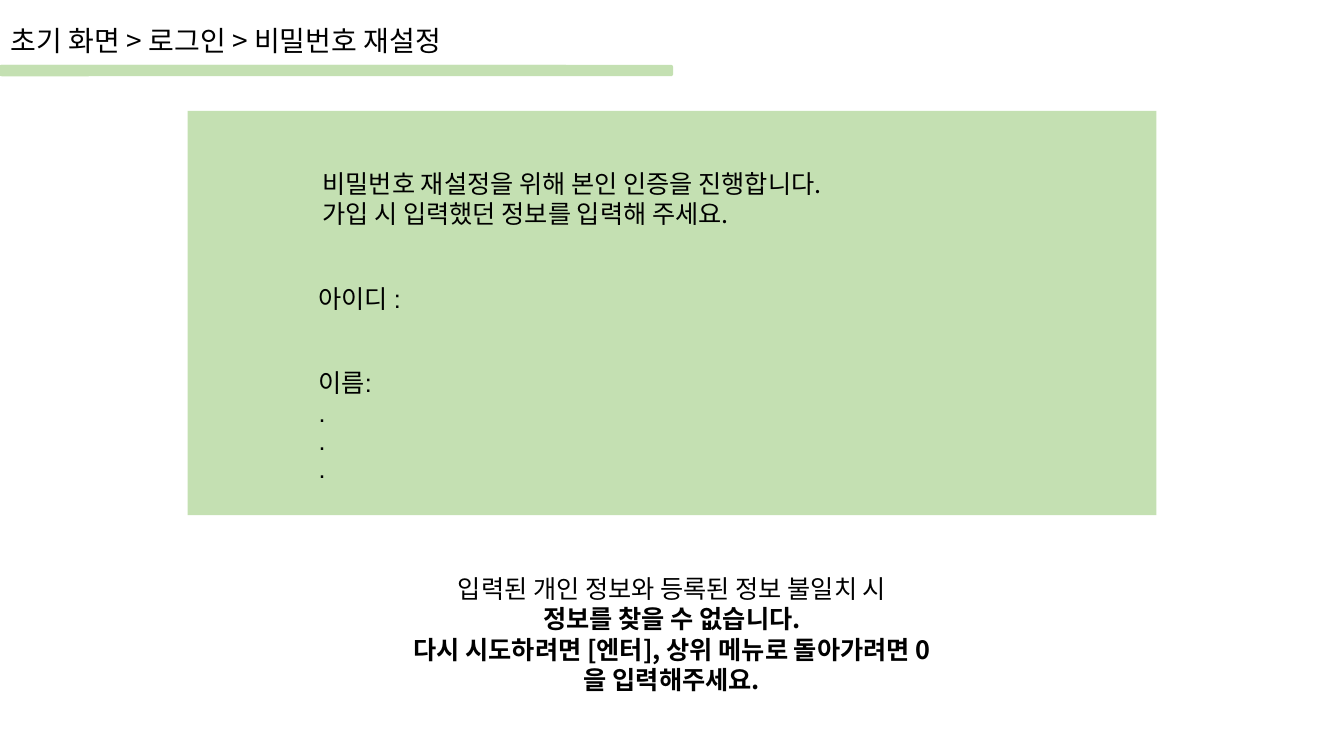
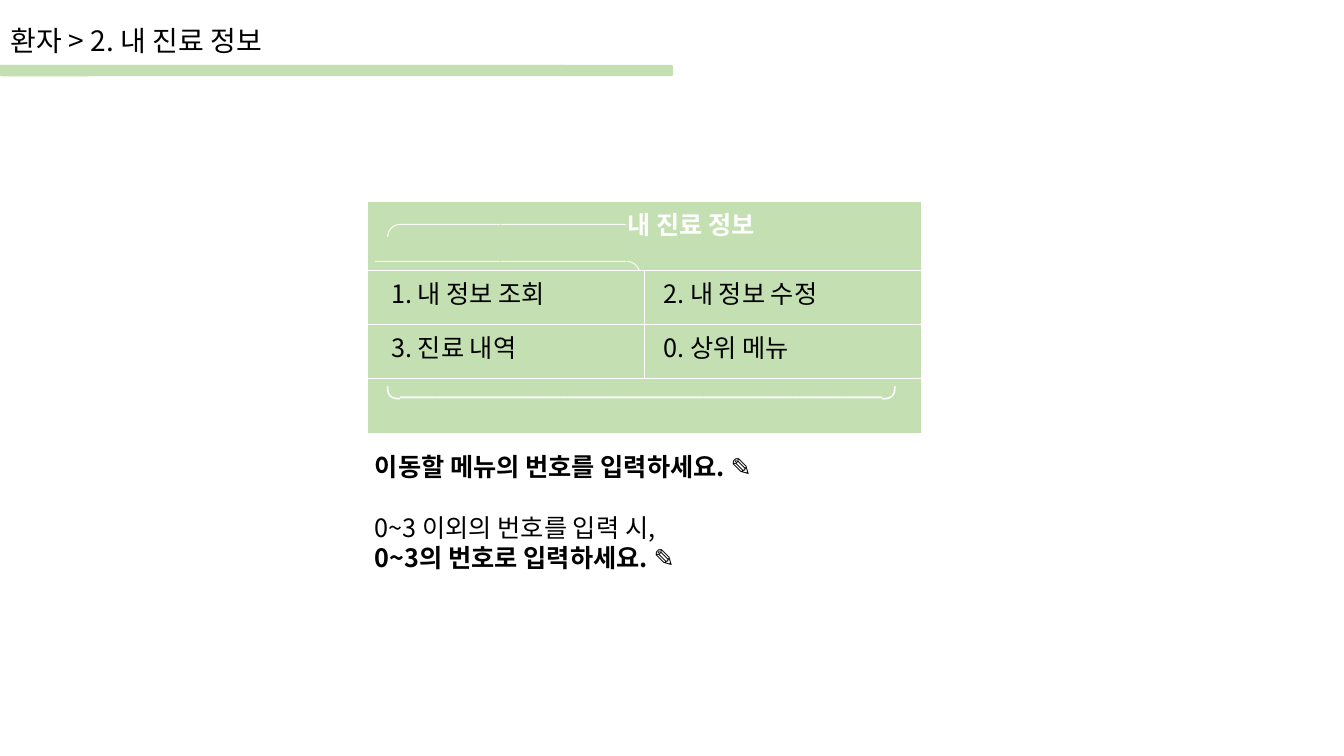
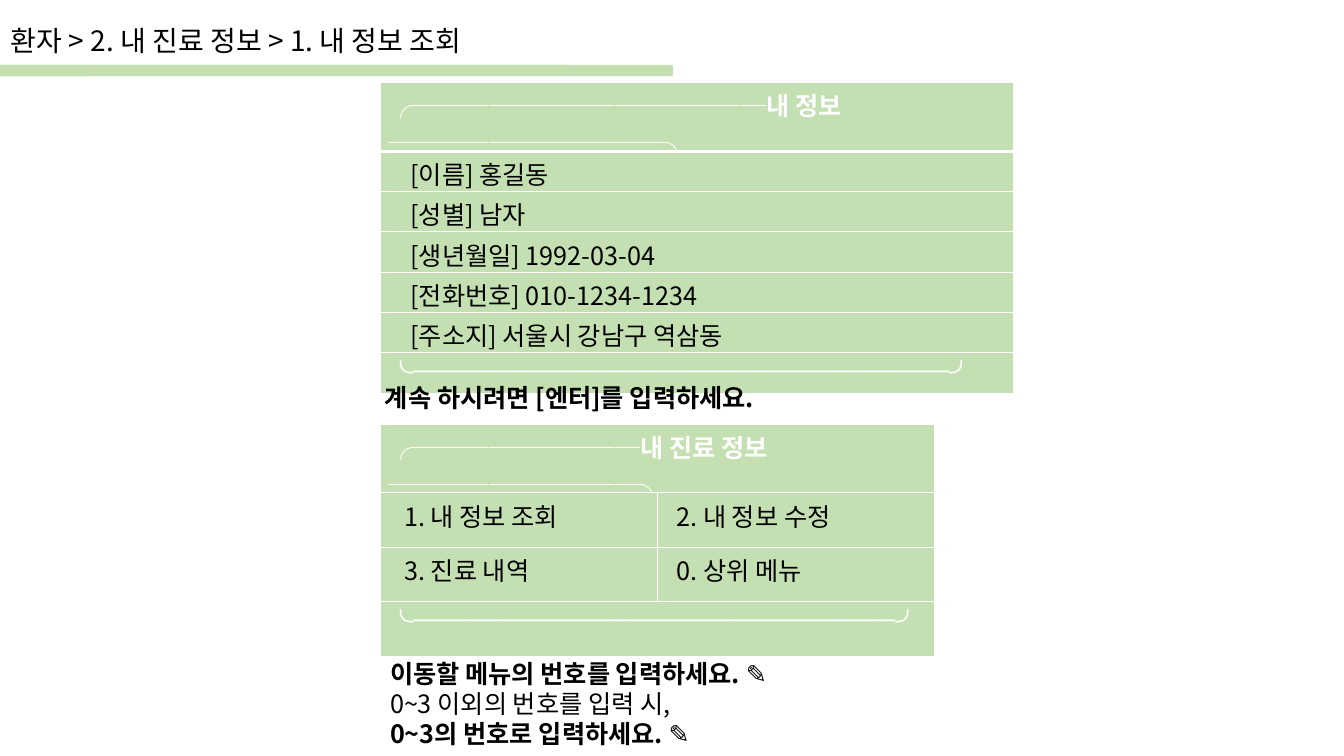
"""Builds three console screen slides of a clinic program."""
import dataclasses

import lxml.etree
import pptx
import pptx.dml.color
import pptx.enum.shapes
import pptx.enum.text
import pptx.oxml.ns
import pptx.util

Inches = pptx.util.Inches
Pt = pptx.util.Pt
qn = pptx.oxml.ns.qn


@dataclasses.dataclass(frozen=True)
class Theme:
    """Colours, fonts and type sizes of the deck."""
    green: str = "C4E0B2"
    black: str = "000000"
    white: str = "FFFFFF"
    font: str = "Noto Sans CJK KR"
    plain_font: str = "Arial"
    title: int = 20
    body: int = 18
    border: float = 0.8
    no_grid: str = "{2D5ABB26-0587-4C30-8999-92F81FD0307C}"


THEME = Theme()


def rgb(value):
    """Turns a hex string into a colour."""
    return pptx.dml.color.RGBColor.from_string(value)


def write(p, text, size=THEME.body, bold=False, color=THEME.black, font=THEME.font):
    """Adds one formatted run to a paragraph."""
    r = p.add_run()
    r.text = text
    r.font.size = Pt(size)
    r.font.bold = bold
    r.font.color.rgb = rgb(color)
    r.font.name = font
    lxml.etree.SubElement(r.font._element, qn("a:ea"), typeface=THEME.font)


def paragraphs(tf, count):
    """Yields the given number of paragraphs of a text frame."""
    yield tf.paragraphs[0]
    for _ in range(count - 1):
        yield tf.add_paragraph()


def draw_borders(cell, top, bottom):
    """Gives a cell white edges with the given top and bottom widths."""
    tcPr = cell._tc.get_or_add_tcPr()
    widths = {"a:lnL": THEME.border, "a:lnR": THEME.border, "a:lnT": top, "a:lnB": bottom}
    for tag, width in widths.items():
        ln = lxml.etree.SubElement(tcPr, qn(tag), w=str(Pt(width)))
        fill = lxml.etree.SubElement(ln, qn("a:solidFill"))
        lxml.etree.SubElement(fill, qn("a:srgbClr"), val=THEME.white)


class Deck:
    """Holds the presentation, its theme and the current slide."""

    def __init__(self, theme):
        self.theme = theme
        self.prs = pptx.Presentation()
        self.prs.slide_width = Inches(13.33)
        self.prs.slide_height = Inches(7.5)
        self.s = None

    def slide(self, title, title_width):
        """Starts a slide with its breadcrumb title and green rule."""
        self.s = self.prs.slides.add_slide(self.prs.slide_layouts[6])
        for width, height in ((5.62, 0.09), (6.67, 0.1)):
            self.box((0, 0.65, width, height), rounded=True)
        self.text((0.01, 0.18, title_width, 0.44), [(title, False)], size=self.theme.title)

    def box(self, at, rounded=False):
        """Adds a green rectangle."""
        kinds = pptx.enum.shapes.MSO_SHAPE
        kind = kinds.ROUNDED_RECTANGLE if rounded else kinds.RECTANGLE
        sp = self.s.shapes.add_shape(kind, *map(Inches, at))
        sp.shadow.inherit = False
        sp.fill.solid()
        sp.fill.fore_color.rgb = rgb(self.theme.green)
        if rounded:
            sp.line.color.rgb = rgb(self.theme.green)
            sp.line.width = Pt(1)
        else:
            sp.line.fill.background()

    def text(self, at, lines, centered=False, grow=True, gap_after_first=0, **fmt):
        """Adds a text box from (text, bold) lines."""
        tf = self.s.shapes.add_textbox(*map(Inches, at)).text_frame
        tf.word_wrap = True
        sizing = pptx.enum.text.MSO_AUTO_SIZE
        tf.auto_size = sizing.SHAPE_TO_FIT_TEXT if grow else sizing.NONE
        for p, (line, bold) in zip(paragraphs(tf, len(lines)), lines):
            if centered:
                p.alignment = pptx.enum.text.PP_ALIGN.CENTER
            write(p, line, bold=bold, **fmt)
        if gap_after_first:
            tf.paragraphs[0].space_after = Pt(gap_after_first)

    def table(self, left, top, cols, rows):
        """Adds an unstyled table with the given column widths and row heights."""
        frame = self.s.shapes.add_table(
            len(rows), len(cols), Inches(left), Inches(top), Inches(sum(cols)), Inches(sum(rows)))
        table = frame.table
        table.first_row = table.horz_banding = False
        next(frame._element.iter(qn("a:tableStyleId"))).text = self.theme.no_grid
        for col, width in zip(table.columns, cols):
            col.width = Inches(width)
        for row, height in zip(table.rows, rows):
            row.height = Inches(height)
        return table

    def fill_cells(self, table):
        """Paints every cell of a table green."""
        for cell in table.iter_cells():
            cell.fill.solid()
            cell.fill.fore_color.rgb = rgb(self.theme.green)

    def form(self, left, top, width, fields):
        """Adds a borderless form from (height, lines) fields."""
        table = self.table(left, top, [width], [height for height, _ in fields])
        for cell, (_, lines) in zip(table.iter_cells(), fields):
            for p, line in zip(paragraphs(cell.text_frame, len(lines)), lines):
                write(p, line, font=self.theme.plain_font)
        self.fill_cells(table)

    def card(self, left, top, cols, heights, header, items, footer, indents, rule):
        """Adds a framed table with a header, item rows and a closing line."""
        th = self.theme
        first, rest = heights
        table = self.table(left, top, cols, [first] + [rest] * (len(items) + 1))
        last = len(items) + 1
        for y, row in enumerate(table.rows):
            for cell in row.cells:
                cell.margin_left = cell.margin_right = Inches(0.08)
                cell.margin_top = cell.margin_bottom = Inches(0.04)
                draw_borders(cell, rule if y == 1 else th.border, rule if y == 0 else th.border)
        self.fill_cells(table)
        if len(cols) > 1:
            for y in (0, last):
                table.cell(y, 0).merge(table.cell(y, len(cols) - 1))
        frame_style = {"color": th.white, "font": th.plain_font}
        write(table.cell(0, 0).text_frame.paragraphs[0], header, bold=True, **frame_style)
        for y, texts in enumerate(items, 1):
            for x, (text, indent) in enumerate(zip(texts, indents)):
                cell = table.cell(y, x)
                cell.margin_left = Inches(0.08 + indent)
                write(cell.text_frame.paragraphs[0], text)
        p = table.cell(last, 0).text_frame.paragraphs[0]
        for text, bold in zip(footer, (False, True, False)):
            write(p, text, bold=bold, **frame_style)

    def menu(self, left, top):
        """Adds the menu of medical information."""
        self.card(left, top, [2.75, 2.75], (0.57, 0.54),
                  "╭─────────내 진료 정보──────────╮",
                  [("1. 내 정보 조회", "2. 내 정보 수정"), ("3. 진료 내역", "0. 상위 메뉴")],
                  ("╰───────", "────────────────", "────╯"),
                  indents=(0.16, 0.11), rule=1)

    def prompt(self, left, top, gap=0):
        """Adds the request for a menu number."""
        lines = [("이동할 메뉴의 번호를 입력하세요. ✎", True),
                 ("0~3 이외의 번호를 입력 시,", False),
                 ("0~3의 번호로 입력하세요. ✎", True)]
        self.text((left, top, 6.98, 1.31), lines, gap_after_first=gap)


def main():
    """Builds and saves the slides."""
    deck = Deck(THEME)

    deck.slide("초기 화면 > 로그인 > 비밀번호 재설정", 5.87)
    deck.box((1.86, 1.1, 9.61, 4.01))
    deck.form(3.06, 2.72, 7.21,
              [(0.41, ["아이디 :"]), (0.42, []), (1.28, ["이름:", ".", ".", "."])])
    deck.text((3.1, 1.62, 5.76, 0.71),
              [("비밀번호 재설정을 위해 본인 인증을 진행합니다.", False),
               ("가입 시 입력했던 정보를 입력해 주세요.", False)], grow=False)
    deck.text((3.9, 5.64, 5.53, 1.62),
              [("입력된 개인 정보와 등록된 정보 불일치 시", False),
               ("정보를 찾을 수 없습니다.", True),
               ("다시 시도하려면 [엔터], 상위 메뉴로 돌아가려면 0을 입력해주세요.", True)],
              centered=True)

    deck.slide("환자 > 2. 내 진료 정보", 4.73)
    deck.prompt(3.62, 4.43, gap=22)
    deck.menu(3.64, 2)

    deck.slide("환자 > 2. 내 진료 정보 > 1. 내 정보 조회", 5.62)
    profile = ["[이름] 홍길동", "[성별] 남자", "[생년월일] 1992-03-04",
               "[전화번호] 010-1234-1234", "[주소지] 서울시 강남구 역삼동"]
    deck.card(3.77, 0.82, [6.28], (0.41, 0.4),
              "╭──────────────내 정보───────────╮",
              [(line,) for line in profile],
              ("╰────────", "──────────────", "────────╯"),
              indents=(0.22,), rule=2.4)
    deck.menu(3.77, 4.21)
    deck.prompt(3.77, 6.48)
    deck.text((3.72, 3.74, 5.67, 0.4), [("계속 하시려면 [엔터]를 입력하세요.", True)])

    deck.prs.save("out.pptx")


if __name__ == "__main__":
    main()
